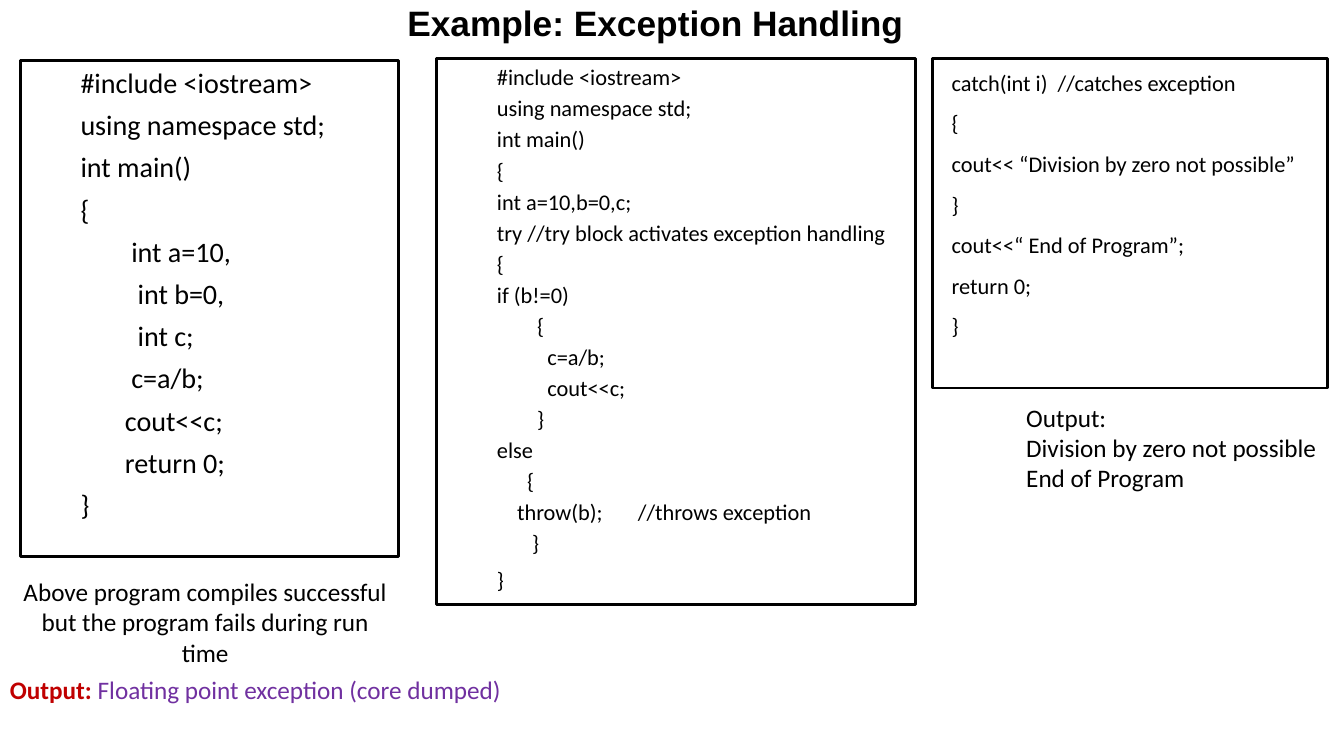
from pptx import Presentation
from pptx.dml.color import RGBColor
from pptx.enum.shapes import MSO_SHAPE
from pptx.enum.text import MSO_ANCHOR, MSO_AUTO_SIZE, PP_ALIGN
from pptx.util import Pt

PX = 9144  # 100 px to the inch
BLACK = RGBColor(0x00, 0x00, 0x00)
WHITE = RGBColor(0xFF, 0xFF, 0xFF)
RED = RGBColor(0xC0, 0x00, 0x00)
PURPLE = RGBColor(0x70, 0x30, 0xA0)

UNGUARDED_CODE = """#include <iostream>
using namespace std;
int main()
{
        int a=10,
         int b=0,
         int c;
        c=a/b;
       cout<<c;
       return 0;
}"""

TRY_CODE = """#include <iostream>
using namespace std;
int main()
{
int a=10,b=0,c;
try //try block activates exception handling
{
if (b!=0)
        {
\tc=a/b;
\tcout<<c;
        }
else
      {
    throw(b);       //throws exception
       }
}"""

CATCH_CODE = """catch(int i)  //catches exception
{
cout<< “Division by zero not possible”
}
cout<<“ End of Program”;
return 0;
}"""


def to_emu(*lengths):
    return [length * PX for length in lengths]


def apply_format(target, values):
    for name, value in values.items():
        setattr(target, name, value)


def format_frame(frame, anchor=MSO_ANCHOR.TOP):
    horizontal, vertical = to_emu(10, 5)
    apply_format(frame, {
        "word_wrap": True, "auto_size": MSO_AUTO_SIZE.NONE,
        "vertical_anchor": anchor,
        "margin_left": horizontal, "margin_right": horizontal,
        "margin_top": vertical, "margin_bottom": vertical})


def add_run(paragraph, text, size, color=BLACK, bold=False, name="Calibri"):
    run = paragraph.add_run()
    run.text = text
    apply_format(run.font, {"size": Pt(size), "bold": bold, "name": name})
    run.font.color.rgb = color


def write_lines(frame, lines, size, indent=0, gap=0, spacing=1.0,
                alignment=PP_ALIGN.LEFT):
    """One paragraph per line; returns the last one."""
    for index, line in enumerate(lines):
        paragraph = frame.paragraphs[0] if index == 0 else frame.add_paragraph()
        properties = paragraph._p.get_or_add_pPr()
        properties.set("marL", str(indent * PX))
        properties.set("indent", "0")
        apply_format(paragraph, {
            "alignment": alignment, "line_spacing": spacing,
            "space_before": Pt(gap if index else 0), "space_after": Pt(0)})
        add_run(paragraph, line, size)
    return paragraph


def add_code_box(slide, bounds, code, **text_format):
    shape = slide.shapes.add_shape(MSO_SHAPE.RECTANGLE, *to_emu(*bounds))
    shape.shadow.inherit = False
    shape.fill.solid()
    shape.fill.fore_color.rgb = WHITE
    shape.line.color.rgb = BLACK
    shape.line.width = Pt(2)
    format_frame(shape.text_frame)
    return write_lines(shape.text_frame, code.split("\n"), **text_format)


def add_text_box(slide, bounds):
    frame = slide.shapes.add_textbox(*to_emu(*bounds)).text_frame
    format_frame(frame)
    return frame


def set_title(slide, bounds, text):
    title = slide.shapes.title
    names = ("left", "top", "width", "height")
    apply_format(title, dict(zip(names, to_emu(*bounds))))
    format_frame(title.text_frame, MSO_ANCHOR.MIDDLE)
    paragraph = title.text_frame.paragraphs[0]
    paragraph.alignment = PP_ALIGN.CENTER
    add_run(paragraph, text, 25.2, bold=True, name="Arial")


def main():
    presentation = Presentation()
    presentation.slide_width, presentation.slide_height = to_emu(1333, 750)
    slide = presentation.slides.add_slide(presentation.slide_layouts[5])
    set_title(slide, (50, 0, 1200, 45), "Example: Exception Handling")

    # Program without exception handling
    add_code_box(slide, (20, 60, 375, 492), UNGUARDED_CODE,
                 size=20.1, indent=50, gap=6)
    caption = add_text_box(slide, (12, 567, 383, 101))
    write_lines(caption, ["Above program compiles successful but the program "
                          "fails during run time"],
                size=18, alignment=PP_ALIGN.CENTER)
    failure = add_text_box(slide, (0, 664, 512, 40)).paragraphs[0]
    add_run(failure, "Output: ", 18, RED, bold=True)
    add_run(failure, "Floating point exception (core dumped)", 18, PURPLE)

    # Program with try, throw and catch
    closing_brace = add_code_box(slide, (433, 58, 475, 542), TRY_CODE,
                                 size=16, indent=50, gap=3)
    closing_brace.line_spacing = 1.2
    add_code_box(slide, (925, 58, 392, 327), CATCH_CODE,
                 size=16, indent=9, gap=6, spacing=1.2)
    output = add_text_box(slide, (1008, 394, 311, 101))
    write_lines(output, ["Output:", "Division by zero not possible",
                         "End of Program"], size=18)

    presentation.save("out.pptx")


if __name__ == "__main__":
    main()
